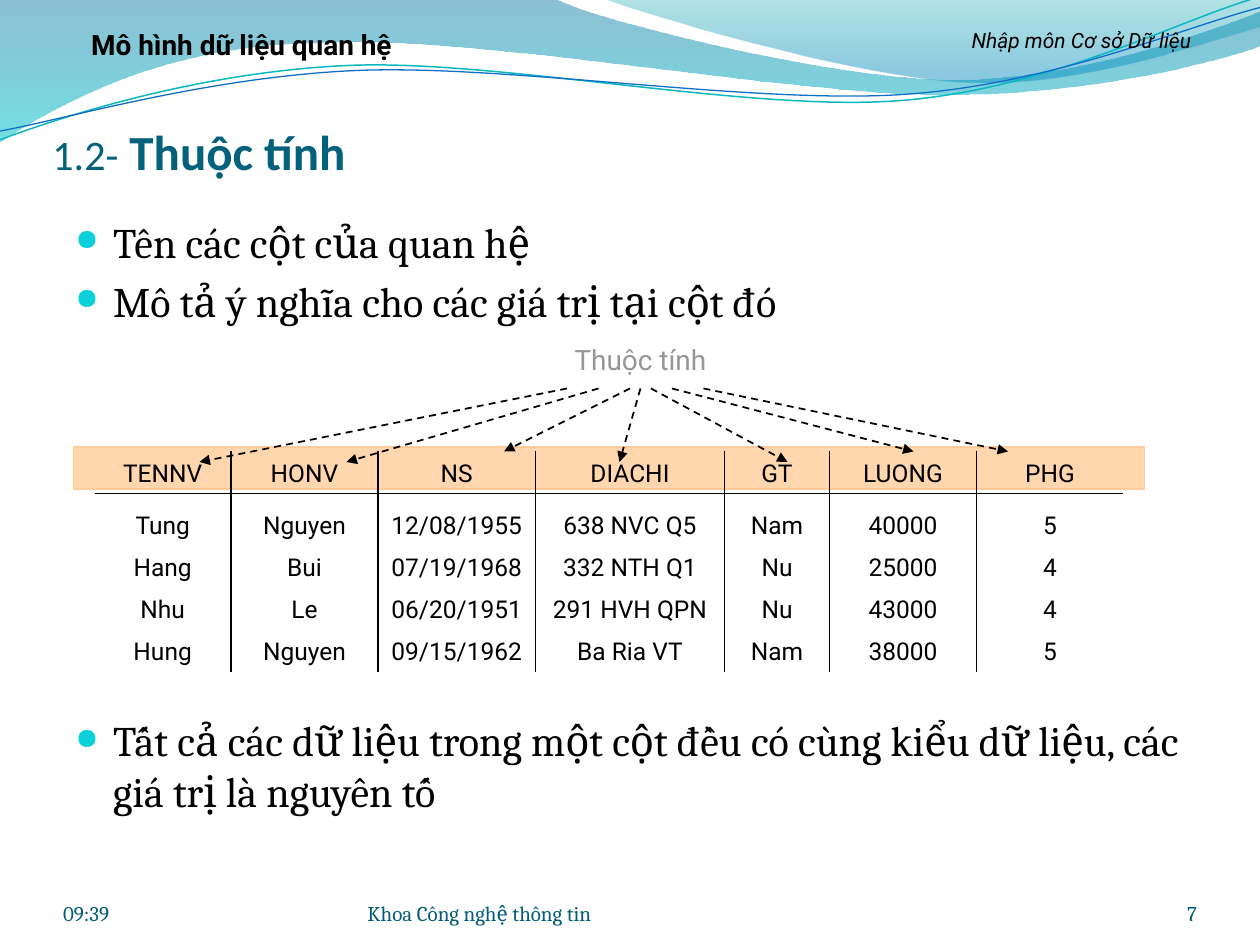
from itertools import accumulate

from lxml.etree import SubElement
from pptx import Presentation
from pptx.dml.color import RGBColor
from pptx.enum.dml import MSO_LINE
from pptx.enum.shapes import MSO_CONNECTOR, MSO_SHAPE
from pptx.enum.text import MSO_ANCHOR as ANCHOR, PP_ALIGN as ALIGN
from pptx.oxml.ns import qn
from pptx.util import Inches, Pt

COLORS = {
    "ink": "000000", "title": "04617B", "footer": "045D75", "label": "969696",
    "bullet": "0BD0D9", "band": "FFCC99", "teal line": "0AB8BF", "blue line": "0F6FC6",
    "blue top": "0074A1", "teal base": "00C6CF", "teal top": "00A1A9", "blue base": "008BBF",
}
RGB = {name: RGBColor.from_string(value) for name, value in COLORS.items()}

deck = Presentation()
deck.slide_width, deck.slide_height = Inches(10), Inches(7.5)
page = deck.slides.add_slide(deck.slide_layouts[6])
UNIT = deck.slide_width / 120  # the page is a grid of 120 columns by 90 rows


def add_text(area, lines, font, size, color, align=ALIGN.LEFT, anchor=ANCHOR.TOP,
             margins=(0.1, 0.05, 0.1, 0.05)):
    box = page.shapes.add_textbox(*[round(value * UNIT) for value in area])
    frame = box.text_frame
    frame.word_wrap = True
    frame.vertical_anchor = anchor
    (frame.margin_left, frame.margin_top,
     frame.margin_right, frame.margin_bottom) = map(Inches, margins)
    frame.text = "\n".join(lines)
    for para in frame.paragraphs:
        para.alignment = align
        for span in para.runs:
            span.font.name, span.font.size = font, Pt(size)
            span.font.color.rgb = RGB[color]
    return frame


def add_line(*ends):
    line = page.shapes.add_connector(MSO_CONNECTOR.STRAIGHT,
                                     *[round(value * UNIT) for value in ends])
    line.line.color.rgb = RGB["ink"]
    line.line.width = Pt(1)
    SubElement(line._element.spPr, qn("a:effectLst"))
    return line


# Header waves: a start point, then straight (2 values) or cubic (6 values) steps in inches
waves = [
    ([(0, -0.01), (4.4, -0.01), (4.76, 0.17, 6.64, 0.63, 7.58, 0.63),
      (8.53, 0.63, 9.58, 0.26, 10, 0.09), (10.01, 0.36),
      (9.83, 0.44, 8.7, 0.76, 7.46, 0.75), (6.22, 0.75, 3.82, 0.28, 2.57, 0.34),
      (1.29, 0.35, 0.46, 0.83, -0.01, 1.13), (0, -0.01)],
     [(0, "blue top", 45), (1, "teal base", 55)], None, 0),
    ([(4.79, -0.01), (5.09, 0.11, 6.82, 0.62, 7.69, 0.65),
      (8.56, 0.69, 9.61, 0.32, 10, 0.21), (10, 0), (4.79, -0.01)],
     [(0, "teal top", 30), (0.8, "blue base", 45)], None, 0),
    ([(0, 1.11), (0.48, 0.93, 1.58, 0.57, 2.77, 0.52),
      (3.95, 0.47, 5.93, 0.89, 7.13, 0.8), (8.33, 0.71, 9.38, 0.15, 9.98, -0.02)],
     None, "teal line", 0.85),
    ([(0, 1.04), (0.47, 0.96, 1.64, 0.61, 2.83, 0.56),
      (4.03, 0.51, 5.97, 0.83, 7.17, 0.75), (8.36, 0.67, 9.41, 0.21, 10, 0.06)],
     None, "blue line", 0.75),
]
for steps, stops, line_color, line_width in waves:
    points = [(Inches(step[i]), Inches(step[i + 1]))
              for step in steps for i in range(0, len(step), 2)]
    builder = page.shapes.build_freeform(*points[0])
    builder.add_line_segments(points[1:], close=stops is not None)
    wave = builder.convert_to_shape()
    wave.shadow.inherit = False

    # Join the three points of each cubic step into one curve
    segments = iter(wave._element.findall(".//" + qn("a:lnTo")))
    for step in steps[1:]:
        segment = next(segments)
        if len(step) == 6:
            segment.tag = qn("a:cubicBezTo")
            for extra in (next(segments), next(segments)):
                segment.append(extra[0])
                extra.getparent().remove(extra)

    if stops:
        wave.fill.gradient()
        wave.fill.gradient_angle = 270
        for stop, (position, color, alpha) in zip(wave.fill.gradient_stops, stops):
            stop.position = position
            stop.color.rgb = RGB[color]
        color_elements = wave._element.spPr.findall(".//" + qn("a:srgbClr"))
        for element, (position, color, alpha) in zip(color_elements, stops):
            SubElement(element, qn("a:alpha")).set("val", str(alpha * 1000))
        wave.line.fill.background()
    else:
        wave.fill.background()
        wave.line.color.rgb = RGB[line_color]
        wave.line.width = Pt(line_width)

# Title
title = add_text((5, 9, 108, 8.2), ["1.2-"], "Calibri", 24, "title",
                 anchor=ANCHOR.BOTTOM, margins=(0, 0.05, 0, 0))
span = title.paragraphs[0].add_run()
span.text = " Thuộc tính"
span.font.name, span.font.size, span.font.bold = "Calibri", Pt(28), True
span.font.color.rgb = RGB["title"]

# Bulleted statements above and below the relation
for top, lines in [
    (20, ["Tên các cột của quan hệ", "Mô tả ý nghĩa cho các giá trị tại cột đó"]),
    (67.5, ["Tất cả các dữ liệu trong một cột đều có cùng kiểu dữ liệu, "
            "các giá trị là nguyên tố"]),
]:
    body = add_text((6, top, 108, 12), lines, "Cambria", 24, "ink")
    for index, para in enumerate(body.paragraphs):
        if index:
            para.space_before = Pt(5)
        props = para._p.get_or_add_pPr()
        props.set("marL", str(Inches(0.3)))
        props.set("indent", str(-Inches(0.3)))
        bullet_color = SubElement(props, qn("a:buClr"))
        SubElement(bullet_color, qn("a:srgbClr")).set("val", COLORS["bullet"])
        SubElement(props, qn("a:buSzPct")).set("val", "70000")
        SubElement(props, qn("a:buChar")).set("char", "●")

# Band behind the attribute names
band = page.shapes.add_shape(MSO_SHAPE.RECTANGLE,
                             *[round(value * UNIT) for value in (7, 42.6, 102, 4)])
band.shadow.inherit = False
band.fill.solid()
band.fill.fore_color.rgb = RGB["band"]
band_color = band._element.spPr.find(".//" + qn("a:srgbClr"))
SubElement(band_color, qn("a:alpha")).set("val", "80000")
band.line.color.rgb = RGB["band"]
band.line.width = Pt(1)

# Relation: rules under the header and between columns, then the values
rows = [
    (43, ["TENNV", "HONV", "NS", "DIACHI", "GT", "LUONG", "PHG"]),
    (48, ["Tung", "Nguyen", "12/08/1955", "638 NVC Q5", "Nam", "40000", "5"]),
    (52, ["Hang", "Bui", "07/19/1968", "332 NTH Q1", "Nu", "25000", "4"]),
    (56, ["Nhu", "Le", "06/20/1951", "291 HVH QPN", "Nu", "43000", "4"]),
    (60, ["Hung", "Nguyen", "09/15/1962", "Ba Ria VT", "Nam", "38000", "5"]),
]
widths = [13, 14, 15, 18, 10, 14, 14]
edges = list(accumulate(widths, initial=9))
add_line(edges[0], 47, edges[-1], 47)
for edge in edges[1:-1]:
    add_line(edge, 43, edge, 64)
for top, values in rows:
    for left, width, value in zip(edges, widths, values):
        add_text((left, top, width, 4), [value], "Roboto", 14, "ink", ALIGN.CENTER)

# Label with a dashed arrow to every column
add_text((48, 32, 26, 4.4), ["Thuộc tính"], "Roboto", 16, "label", ALIGN.CENTER)
for start, end, bottom in [(54, 19, 44), (57, 33, 44), (60, 48, 43), (61, 59, 44),
                           (62, 75, 44), (64, 87, 43), (67, 96, 43)]:
    arrow = add_line(start, 37, end, bottom)
    arrow.line.dash_style = MSO_LINE.DASH
    outline = arrow._element.spPr.find(qn("a:ln"))
    SubElement(outline, qn("a:tailEnd")).set("type", "triangle")

# Running heads
course = add_text((86, 2, 34, 4.5), ["Nhập môn Cơ sở Dữ liệu"], "Roboto", 12, "ink", ALIGN.CENTER)
course.paragraphs[0].runs[0].font.italic = True
chapter = add_text((3, 2, 40, 4.4), ["Mô hình dữ liệu quan hệ"], "Roboto", 16, "ink", ALIGN.CENTER)
chapter.paragraphs[0].runs[0].font.bold = True

# Footer
for left, width, text, align in [(6, 28, "09:39", ALIGN.LEFT),
                                 (35, 44, "Khoa Công nghệ thông tin", ALIGN.LEFT),
                                 (104, 10, "7", ALIGN.RIGHT)]:
    add_text((left, 83.4, width, 4.8), [text], "Cambria", 12, "footer", align,
             ANCHOR.BOTTOM, (0, 0, 0, 0))

deck.save("out.pptx")
